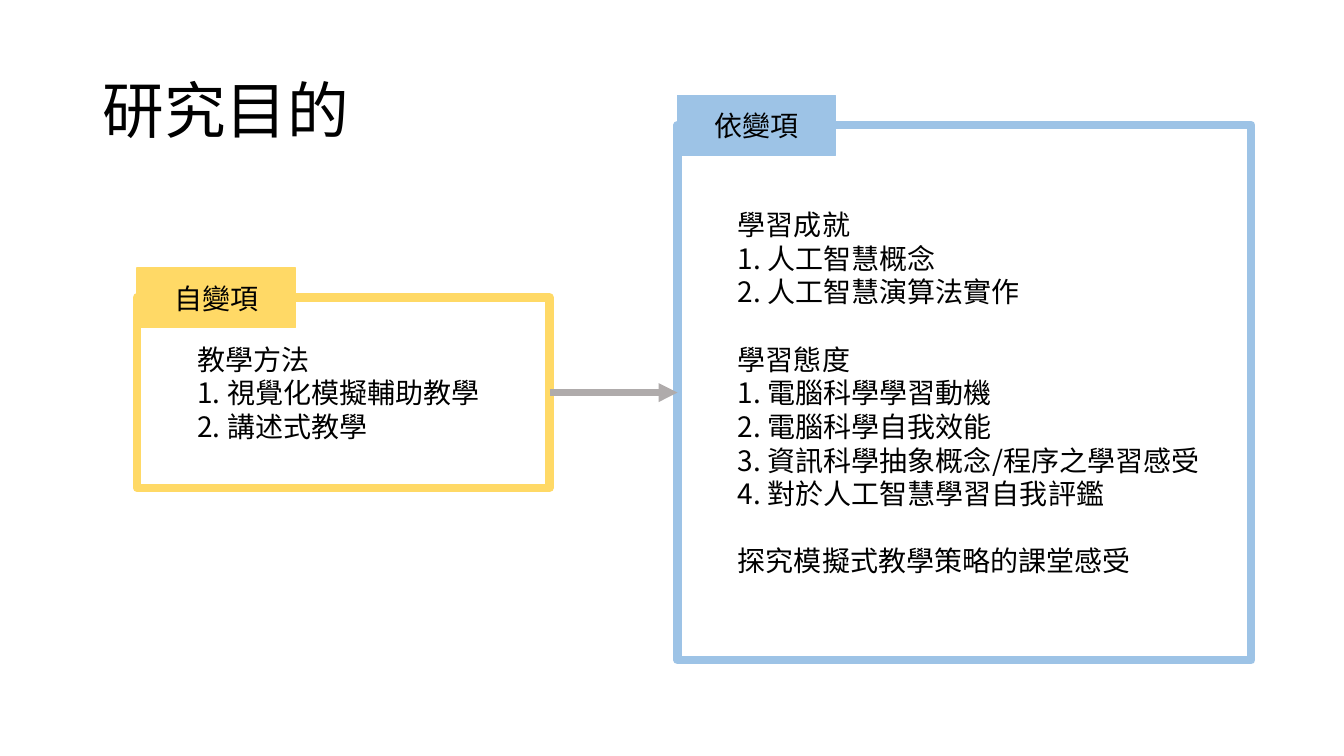
from pptx import Presentation
from pptx.dml.color import RGBColor
from pptx.enum.shapes import MSO_CONNECTOR as Connector, MSO_SHAPE as Shape
from pptx.enum.text import MSO_ANCHOR as Anchor, PP_ALIGN as Align
from pptx.oxml.ns import qn
from pptx.util import Inches, Pt
from lxml.etree import SubElement

FONT = "Noto Sans CJK SC"
COLORS = {"text": "000000", "paper": "FFFFFF", "cause": "FFD966",
          "effect": "9DC3E6", "arrow": "AFABAB"}
MIDDLE = 3.895  # shared horizontal axis of both panels
TAG_WIDTH, TAG_HEIGHT, TAG_RISE = 1.57, 0.59, 0.29
LINE_HEIGHT = Pt(24)

# key, left, width, height, tag text, groups of lines
PANELS = [
    ("cause", 1.36, 4.09, 1.89, "自變項",
     [["教學方法", "1. 視覺化模擬輔助教學", "2. 講述式教學"]]),
    ("effect", 6.72, 5.69, 5.31, "依變項",
     [["學習成就", "1. 人工智慧概念", "2. 人工智慧演算法實作"],
      ["學習態度", "1. 電腦科學學習動機", "2. 電腦科學自我效能",
       "3. 資訊科學抽象概念/程序之學習感受", "4. 對於人工智慧學習自我評鑑"],
      ["探究模擬式教學策略的課堂感受"]]),
]


def write(paragraph, words, size):
    paragraph.text = words
    for run in paragraph.runs:
        run.font.size = Pt(size)
        run.font.name = FONT
        run.font.color.rgb = RGBColor.from_string(COLORS["text"])
        SubElement(run.font._element, qn("a:ea"), typeface=FONT)


def add_box(left, top, width, height, fill, line, weight):
    box = slide.shapes.add_shape(Shape.RECTANGLE, Inches(left), Inches(top),
                                 Inches(width), Inches(height))
    box.shadow.inherit = False
    box.fill.solid()
    box.fill.fore_color.rgb = RGBColor.from_string(COLORS[fill])
    box.line.color.rgb = RGBColor.from_string(COLORS[line])
    box.line.width = Pt(weight)
    box.text_frame.vertical_anchor = Anchor.MIDDLE
    return box


prs = Presentation()
prs.slide_width, prs.slide_height = Inches(13.33), Inches(7.5)
slide = prs.slides.add_slide(prs.slide_layouts[6])

title = slide.shapes.add_textbox(Inches(0.92), Inches(0.4), Inches(11.5), Inches(1.45))
title.text_frame.word_wrap = True
title.text_frame.vertical_anchor = Anchor.MIDDLE
write(title.text_frame.paragraphs[0], "研究目的", 44)
title.text_frame.paragraphs[0].line_spacing = 0.9

panels = {}
for key, left, width, height, tag_words, groups in PANELS:
    top = MIDDLE - height / 2
    panel = add_box(left, top, width, height, "paper", key, 6)
    panels[key] = panel

    lines = [(words, group > 0 and row == 0)
             for group, rows in enumerate(groups) for row, words in enumerate(rows)]
    panel.text_frame.text = "\n".join(words for words, _ in lines)
    for paragraph, (words, opens_group) in zip(panel.text_frame.paragraphs, lines):
        write(paragraph, words, 20)
        paragraph.alignment = Align.LEFT
        paragraph.level = 1
        paragraph._p.get_or_add_pPr().set("marL", str(Inches(0.5)))
        paragraph.line_spacing = LINE_HEIGHT
        if opens_group:
            paragraph.space_before = LINE_HEIGHT

    tag = add_box(left, top - TAG_RISE, TAG_WIDTH, TAG_HEIGHT, key, key, 1)
    write(tag.text_frame.paragraphs[0], tag_words, 20)
    tag.text_frame.paragraphs[0].alignment = Align.CENTER

arrow = slide.shapes.add_connector(Connector.STRAIGHT, 0, 0, 0, 0)
arrow.begin_connect(panels["cause"], 3)
arrow.end_connect(panels["effect"], 1)
arrow.line.color.rgb = RGBColor.from_string(COLORS["arrow"])
arrow.line.width = Pt(4.5)
SubElement(arrow.line._get_or_add_ln(), qn("a:tailEnd"), type="triangle")
SubElement(arrow._element.spPr, qn("a:effectLst"))

prs.save("out.pptx")
